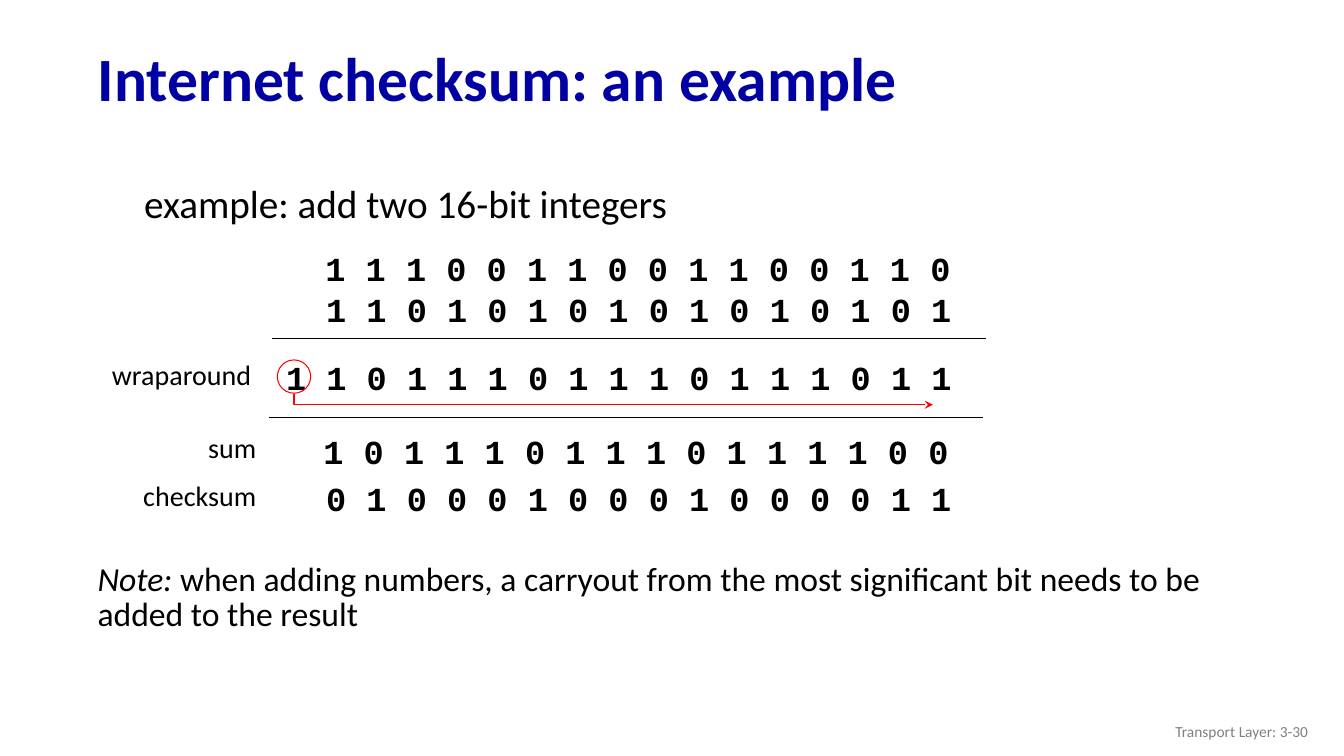
from lxml import etree
from pptx import Presentation
from pptx.dml.color import RGBColor
from pptx.enum.shapes import MSO_CONNECTOR, MSO_SHAPE
from pptx.enum.text import MSO_ANCHOR, MSO_AUTO_SIZE, PP_ALIGN
from pptx.oxml.ns import qn
from pptx.util import Cm, Pt

NAVY = RGBColor(0x00, 0x00, 0xA3)
BLACK = RGBColor(0x00, 0x00, 0x00)
RED = RGBColor(0xFF, 0x00, 0x00)
GRAY = RGBColor(0x80, 0x80, 0x80)

LEFT, RIGHT = PP_ALIGN.LEFT, PP_ALIGN.RIGHT
TOP, MIDDLE = MSO_ANCHOR.TOP, MSO_ANCHOR.MIDDLE
NO_AUTOFIT = MSO_AUTO_SIZE.NONE
STRAIGHT = MSO_CONNECTOR.STRAIGHT
OVAL = MSO_SHAPE.OVAL

# Label, right edge of label, label top, bits, left of bits, top of bits
# (all in cm, relative to the addition's box)
ADDITION_ROWS = [
    ("", 0, 0, "1110011001100110", 5.41, 0),
    ("", 0, 0, "1101010101010101", 5.43, 1.04),
    ("wraparound", 4.04, 2.77, "11011101110111011", 4.42, 2.74),
    ("sum", 4.17, 4.6, "1011101110111100", 5.36, 4.62),
    ("checksum", 4.17, 5.82, "0100010001000011", 5.43, 5.79),
]
# Left and top of each rule
RULES = [(4.32, 2.41), (4.24, 4.4)]
RULE_LENGTH = 17.98


def place(shape, box):
    shape.left, shape.top, shape.width, shape.height = [Cm(v) for v in box]


def write(shape, runs, size, color=BLACK, font="Calibri", bold=False,
          align=LEFT, anchor=TOP, line_spacing=1.0):
    """Fill a shape with one paragraph of (text, italic) runs."""
    frame = shape.text_frame
    frame.word_wrap = True
    frame.auto_size = NO_AUTOFIT
    frame.vertical_anchor = anchor
    paragraph = frame.paragraphs[0]
    paragraph.alignment = align
    paragraph.line_spacing = line_spacing
    paragraph.space_before = Pt(0)
    for text, italic in runs:
        run = paragraph.add_run()
        run.text = text
        run.font.name = font
        run.font.size = Pt(size)
        run.font.bold = bold
        run.font.italic = italic
        run.font.color.rgb = color
    return paragraph


def add_text(slide, box, runs, size, **style):
    shape = slide.shapes.add_textbox(*[Cm(v) for v in box])
    write(shape, runs, size, **style)


def outline(shape, color, width):
    shape.line.color.rgb = color
    shape.line.width = Pt(width)


def fill_title(slide, box):
    title = slide.shapes.title
    place(title, box)
    write(title, [("Internet checksum: an example", False)], 44, color=NAVY,
          bold=True, anchor=MIDDLE, line_spacing=0.9)


def fill_body(slide, box):
    body = slide.placeholders[1]
    place(body, box)
    properties = body.text_frame.paragraphs[0]._p.get_or_add_pPr()
    properties.set("marL", "0")
    properties.set("indent", "0")
    etree.SubElement(properties, qn("a:buNone"))
    write(body, [("example: add two 16-bit integers", False)], 28,
          line_spacing=1.3)


def add_addition(slide, left, top):
    # Labels and binary numbers
    for label, label_right, label_top, bits, bits_left, bits_top in ADDITION_ROWS:
        if label:
            add_text(slide, (left, top + label_top, label_right, 1.11),
                     [(label, False)], 20, align=RIGHT)
        add_text(slide, (left + bits_left, top + bits_top, 1.02 * len(bits) + 0.1, 1.27),
                 [(" ".join(bits), False)], 24, font="Courier New", bold=True)

    # Rules above each result
    for rule_left, rule_top in RULES:
        start, end, y = left + rule_left, left + rule_left + RULE_LENGTH, top + rule_top
        rule = slide.shapes.add_connector(STRAIGHT, Cm(start), Cm(y), Cm(end), Cm(y))
        outline(rule, BLACK, 1)
        etree.SubElement(rule._element.spPr, qn("a:effectLst"))

    add_carry(slide, left + 4.45, top + 2.95)


def add_carry(slide, left, top):
    # Circle around the carry bit
    diameter = 0.84
    circle = slide.shapes.add_shape(OVAL, Cm(left), Cm(top), Cm(diameter), Cm(diameter))
    circle.fill.background()
    circle.shadow.inherit = False
    outline(circle, RED, 0.75)

    # Arrow from the carry bit to the last bit
    x, y = left + diameter / 2, top + diameter + 0.02
    builder = slide.shapes.build_freeform(Cm(x), Cm(y))
    builder.add_line_segments(
        [(Cm(x), Cm(y + 0.27)), (Cm(x + 16.1), Cm(y + 0.27))], close=False)
    arrow = builder.convert_to_shape()
    arrow.fill.background()
    arrow.shadow.inherit = False
    outline(arrow, RED, 0.75)
    etree.SubElement(arrow.line._get_or_add_ln(), qn("a:tailEnd"), type="stealth")


def add_note(slide, box):
    add_text(slide, box, [
        ("Note:", True),
        (" when adding numbers, a carryout from the most significant bit "
         "needs to be added to the result", False),
    ], 24, line_spacing=0.85)


def add_footer(slide, box):
    add_text(slide, box, [("Transport Layer: 3-30", False)], 11,
             color=GRAY, align=RIGHT, anchor=MIDDLE)


def main():
    presentation = Presentation()
    presentation.slide_width, presentation.slide_height = Cm(33.87), Cm(19.05)
    slide = presentation.slides.add_slide(presentation.slide_layouts[1])
    fill_title(slide, (2.21, 0.81, 30.84, 2.49))
    fill_body(slide, (3.38, 4.04, 21.59, 7.62))
    add_addition(slide, 2.54, 6.12)
    add_note(slide, (2.21, 14.1, 28.8, 3))
    add_footer(slide, (25.6, 17.91, 7.62, 1.02))
    presentation.save("out.pptx")


if __name__ == "__main__":
    main()
